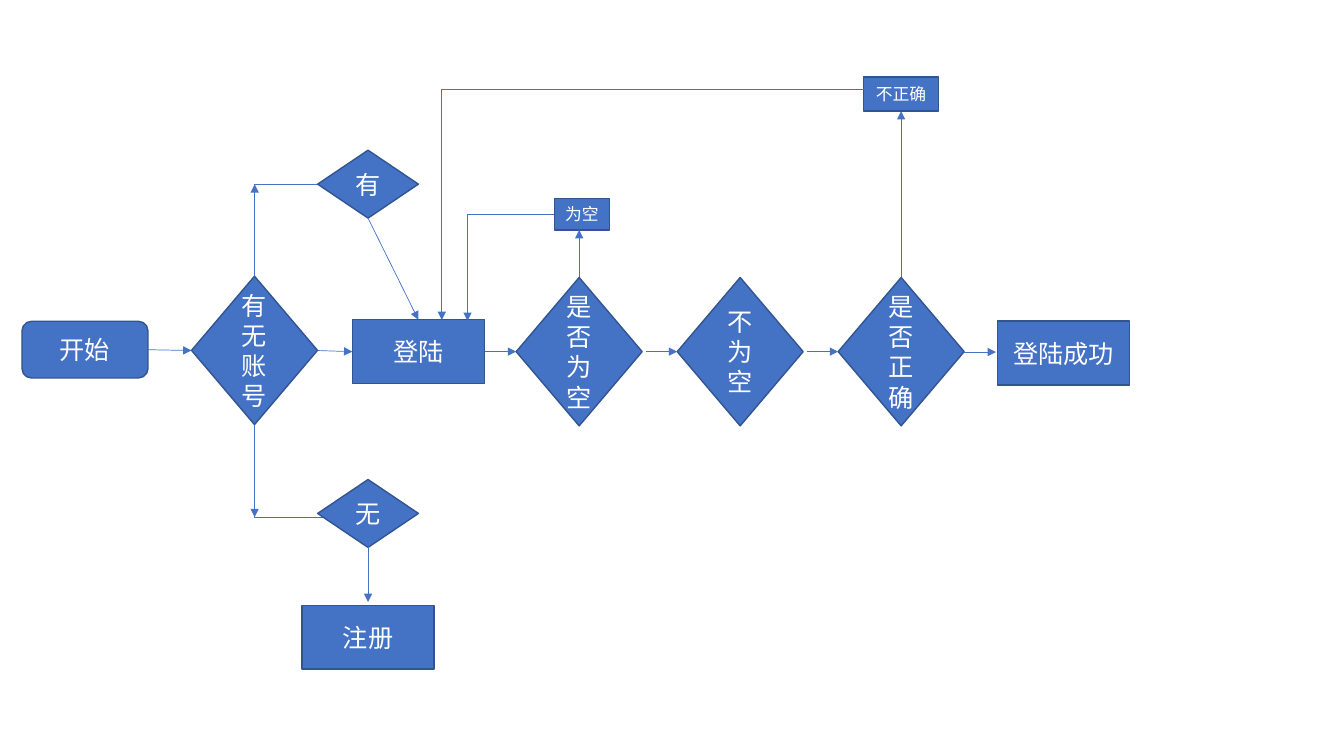
from lxml import etree
from pptx import Presentation
from pptx import util as u
from pptx.dml.color import RGBColor
from pptx.enum import shapes, text
from pptx.oxml.ns import qn

COLORS = {"fill": "4472C4", "edge": "325491", "label": "FFFFFF"}
FONT = "Noto Sans CJK SC"
DECISION = (90, 106)
ANSWER = (72, 48.5)
STEP = (94.5, 45.5)


def rgb(name):
    return RGBColor.from_string(COLORS[name])


def add_node(slide, kind, label, left, top, size, font_size=18):
    node = slide.shapes.add_shape(kind, u.Pt(left), u.Pt(top), *map(u.Pt, size))
    node.shadow.inherit = False
    node.fill.solid()
    node.fill.fore_color.rgb = rgb("fill")
    node.line.color.rgb = rgb("edge")
    node.line.width = u.Pt(1)
    frame = node.text_frame
    frame.word_wrap = True
    frame.vertical_anchor = text.MSO_ANCHOR.MIDDLE
    paragraph = frame.paragraphs[0]
    paragraph.text = label
    paragraph.alignment = text.PP_ALIGN.CENTER
    font = paragraph.font
    font.name = FONT
    font.size = u.Pt(font_size)
    font.color.rgb = rgb("label")
    # East Asian typeface
    etree.SubElement(font._element, qn("a:ea")).set("typeface", FONT)


def add_decision(slide, label, left, top, size=DECISION):
    add_node(slide, shapes.MSO_SHAPE.FLOWCHART_DECISION, label, left, top, size)


def add_step(slide, label, left, top, size=STEP, font_size=18):
    add_node(slide, shapes.MSO_SHAPE.RECTANGLE, label, left, top, size, font_size)


def add_arrow(slide, start, end, kind=shapes.MSO_CONNECTOR.STRAIGHT, arrow_at="a:tailEnd"):
    arrow = slide.shapes.add_connector(kind, *map(u.Pt, start + end))
    arrow.line.color.rgb = rgb("fill")
    arrow.line.width = u.Pt(0.5)
    etree.SubElement(arrow.line._get_or_add_ln(), qn(arrow_at)).set("type", "triangle")
    properties = arrow._element.spPr
    etree.SubElement(properties, qn("a:effectLst"))
    return properties


def add_elbow(slide, start, end, arrow_at="a:tailEnd"):
    """Run horizontally from start, then vertically to end."""
    properties = add_arrow(slide, start, end, shapes.MSO_CONNECTOR.ELBOW, arrow_at)
    properties.find(qn("a:prstGeom")).set("prst", "bentConnector2")


def main():
    deck = Presentation()
    deck.slide_width, deck.slide_height = u.Pt(960), u.Pt(540)
    slide = deck.slides.add_slide(deck.slide_layouts[6])

    # Start and account check
    add_node(slide, shapes.MSO_SHAPE.FLOWCHART_ALTERNATE_PROCESS, "开始",
             15.7, 229.5, (90, 40.5))
    add_arrow(slide, (105.7, 249.8), (136.8, 250.4))
    add_decision(slide, "有无账号", 136.8, 197.3)

    # Account branches
    account_x, answer_x = 181.9, 262.9
    for label, top, account_y, turn_y in (("有", 107.3, 197.3, 131.6),
                                          ("无", 342.5, 303.3, 369.4)):
        add_arrow(slide, (account_x, account_y), (account_x, turn_y))
        add_elbow(slide, (answer_x, turn_y), (account_x, account_y), "a:headEnd")
        add_decision(slide, label, answer_x - ANSWER[0] / 2, top, ANSWER)
    add_arrow(slide, (answer_x, 155.8), (298.8, 228.4))
    add_arrow(slide, (answer_x, 391), (answer_x, 430))
    add_step(slide, "注册", 215.7, 432.5)
    add_step(slide, "登陆", 251.7, 228.4)
    add_arrow(slide, (226.8, 250.4), (251.7, 251.2))

    # Login checks in an even row
    row_y, first_check, pitch = 251.2, 368.7, 115
    add_arrow(slide, (346.2, row_y), (first_check, row_y))
    for i, label in enumerate(("是否为空", "不为空", "是否正确")):
        left = first_check + i * pitch
        add_decision(slide, label, left, 198.2)
        if i:
            add_arrow(slide, (left - 22.5, row_y), (left, row_y))

    # Failed checks return to login
    empty_x = first_check + DECISION[0] / 2
    wrong_x = empty_x + 2 * pitch
    add_step(slide, "为空", 395.9, 141.8, (39.6, 22.5), 12)
    add_arrow(slide, (empty_x, 198.2), (empty_x, 164.3))
    add_elbow(slide, (395.9, 153.2), (334, 229.2))
    add_arrow(slide, (wrong_x, 198.2), (wrong_x, 79.4))
    add_step(slide, "不正确", 617, 54.9, (53.2, 24.5), 12)
    add_elbow(slide, (617, 64.2), (315.6, 228.6))

    # Success
    add_arrow(slide, (688.7, 251.5), (711.4, 251.5))
    add_step(slide, "登陆成功", 712.4, 229.4)

    deck.save("out.pptx")


main()
